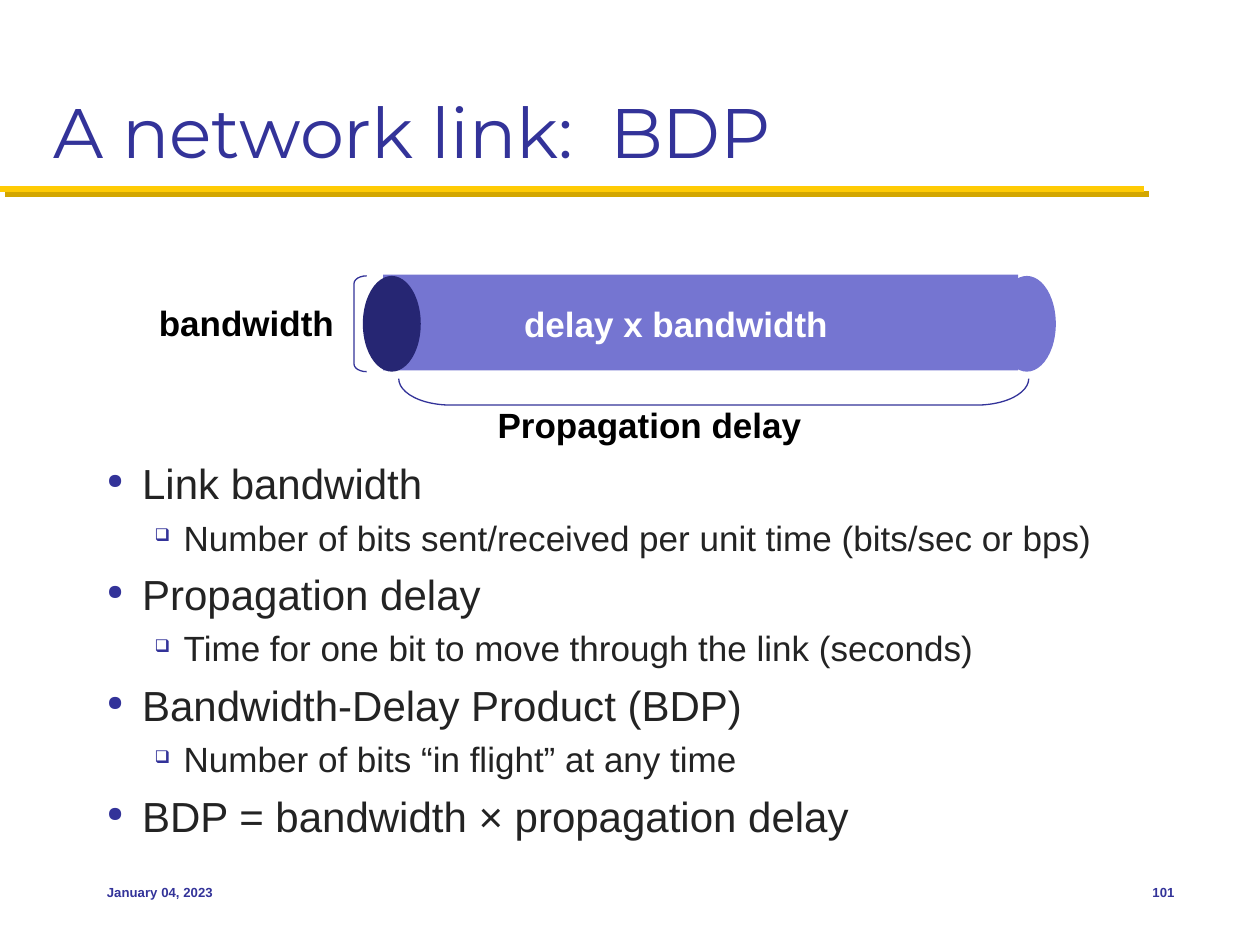
from dataclasses import dataclass

from lxml import etree
from pptx import Presentation
from pptx.dml.color import RGBColor
from pptx.enum import shapes, text
from pptx.oxml import ns
from pptx.util import Inches, Pt

COLORS = {
    "navy": "333399",
    "body": "232323",
    "gold": "FFCB05",
    "gold_shadow": "D3A600",
    "pipe": "7575D1",
    "pipe_end": "262673",
    "black": "000000",
    "white": "FFFFFF",
}
SHAPE = shapes.MSO_SHAPE
ALIGN = text.PP_ALIGN
ANCHOR = text.MSO_ANCHOR


@dataclass
class Box:
    left: float
    top: float
    width: float
    height: float

    def lengths(self) -> list:
        return [Inches(v) for v in (self.left, self.top, self.width, self.height)]


@dataclass
class Label:
    wording: str
    box: Box
    size: float
    color: str
    bold: bool = True
    font: str = "Arial"
    align: ALIGN = ALIGN.RIGHT
    anchor: ANCHOR = ANCHOR.TOP


@dataclass
class Level:
    size: int
    space_before: float
    bullet: str
    margin: float
    indent: float


def rgb(name: str) -> RGBColor:
    return RGBColor.from_string(COLORS[name])


def set_font(paragraph, name: str, size: float, color: str, bold: bool = False) -> None:
    font = paragraph.font
    font.name, font.size, font.bold = name, Pt(size), bold
    font.color.rgb = rgb(color)


def add_label(slide, label: Label) -> None:
    frame = slide.shapes.add_textbox(*label.box.lengths()).text_frame
    frame.word_wrap = True
    frame.vertical_anchor = label.anchor
    paragraph = frame.paragraphs[0]
    paragraph.text = label.wording
    paragraph.alignment = label.align
    set_font(paragraph, label.font, label.size, label.color, label.bold)


def add_solid(slide, kind: SHAPE, box: Box, color: str) -> None:
    shape = slide.shapes.add_shape(kind, *box.lengths())
    shape.shadow.inherit = False
    shape.fill.solid()
    shape.fill.fore_color.rgb = rgb(color)
    shape.line.fill.background()


def add_bracket(slide, box: Box, curve: float, rotation: float = 0) -> None:
    shape = slide.shapes.add_shape(SHAPE.LEFT_BRACKET, *box.lengths())
    shape.shadow.inherit = False
    shape.adjustments[0] = curve
    shape.rotation = rotation
    shape.fill.background()
    shape.line.color.rgb = rgb("navy")
    shape.line.width = Pt(0.75)


def add_title_rule(slide) -> None:
    rule = slide.shapes.add_connector(
        shapes.MSO_CONNECTOR.STRAIGHT, Inches(0), Inches(1.5), Inches(9.08), Inches(1.5))
    rule.line.color.rgb = rgb("gold")
    rule.line.width = Pt(3.5)
    effects = etree.SubElement(rule._element.spPr, ns.qn("a:effectLst"))
    shadow = etree.SubElement(effects, ns.qn("a:outerShdw"), dist=str(Pt(4.2)),
                              dir=str(45 * 60000), algn="ctr", rotWithShape="0")
    etree.SubElement(shadow, ns.qn("a:srgbClr"), val=COLORS["gold_shadow"])


def add_bullet(paragraph, level: Level) -> None:
    properties = paragraph._p.get_or_add_pPr()
    properties.set("marL", str(Inches(level.margin)))
    properties.set("indent", str(Inches(level.indent)))
    color = etree.Element(ns.qn("a:buClr"))
    etree.SubElement(color, ns.qn("a:srgbClr"), val=COLORS["navy"])
    size = etree.Element(ns.qn("a:buSzPct"), val="50000")
    character = etree.Element(ns.qn("a:buChar"), char=level.bullet)
    # Bullet settings come after spacing and before the default run properties
    position = len(properties.findall(ns.qn("a:spcBef")))
    for offset, element in enumerate((color, size, character)):
        properties.insert(position + offset, element)


def add_outline(slide, box: Box, items: list[tuple[int, str]]) -> None:
    frame = slide.shapes.add_textbox(*box.lengths()).text_frame
    frame.word_wrap = True
    for index, (depth, wording) in enumerate(items):
        level = LEVELS[depth]
        paragraph = frame.add_paragraph() if index else frame.paragraphs[0]
        paragraph.text = wording
        paragraph.level = depth
        paragraph.space_before = Pt(level.space_before)
        set_font(paragraph, "Arial", level.size, "body")
        add_bullet(paragraph, level)


LEVELS = [
    Level(24, 5.8, "●", 0.28, -0.28),
    Level(20, 4.8, "❑", 0.61, -0.23),
]
OUTLINE = [
    (0, "Link bandwidth"),
    (1, "Number of bits sent/received per unit time (bits/sec or bps)"),
    (0, "Propagation delay"),
    (1, "Time for one bit to move through the link (seconds)"),
    (0, "Bandwidth-Delay Product (BDP)"),
    (1, "Number of bits “in flight” at any time"),
    (0, "BDP = bandwidth × propagation delay"),
]
PIPE = [
    (SHAPE.OVAL, Box(7.92, 2.19, 0.46, 0.76), "pipe"),
    (SHAPE.RECTANGLE, Box(3.04, 2.18, 5.04, 0.76), "pipe"),
    (SHAPE.OVAL, Box(2.88, 2.19, 0.46, 0.76), "pipe_end"),
]
LABELS = [
    Label("bandwidth", Box(1.15, 2.34, 1.6, 0.44), 20, "black"),
    Label("Propagation delay", Box(3.83, 3.15, 2.63, 0.44), 20, "black"),
    Label("delay x bandwidth", Box(4.04, 2.35, 2.63, 0.44), 20, "white"),
    Label("A network link:  BDP", Box(0.33, 0.17, 9.33, 1.25), 40, "navy", False,
          "Montserrat", ALIGN.LEFT, ANCHOR.BOTTOM),
    Label("January 04, 2023", Box(0.75, 6.83, 2.08, 0.5), 7.5, "navy",
          align=ALIGN.LEFT, anchor=ANCHOR.MIDDLE),
    Label("101", Box(8.75, 6.83, 0.67, 0.5), 7.5, "navy", anchor=ANCHOR.MIDDLE),
]


def main() -> None:
    presentation = Presentation()
    presentation.slide_width, presentation.slide_height = Inches(10), Inches(7.5)
    slide = presentation.slides.add_slide(presentation.slide_layouts[6])

    add_title_rule(slide)
    add_outline(slide, Box(0.75, 3.58, 8.67, 3), OUTLINE)

    # Link drawn as a pipe, with brackets for its height and length
    for kind, box, color in PIPE:
        add_solid(slide, kind, box, color)
    add_bracket(slide, Box(2.81, 2.19, 0.1, 0.76), 0.61)
    add_bracket(slide, Box(5.56, 0.61, 0.21, 5), 1.98, rotation=270)

    # Pipe labels, title and footer
    for label in LABELS:
        add_label(slide, label)

    presentation.save("out.pptx")


if __name__ == "__main__":
    main()
